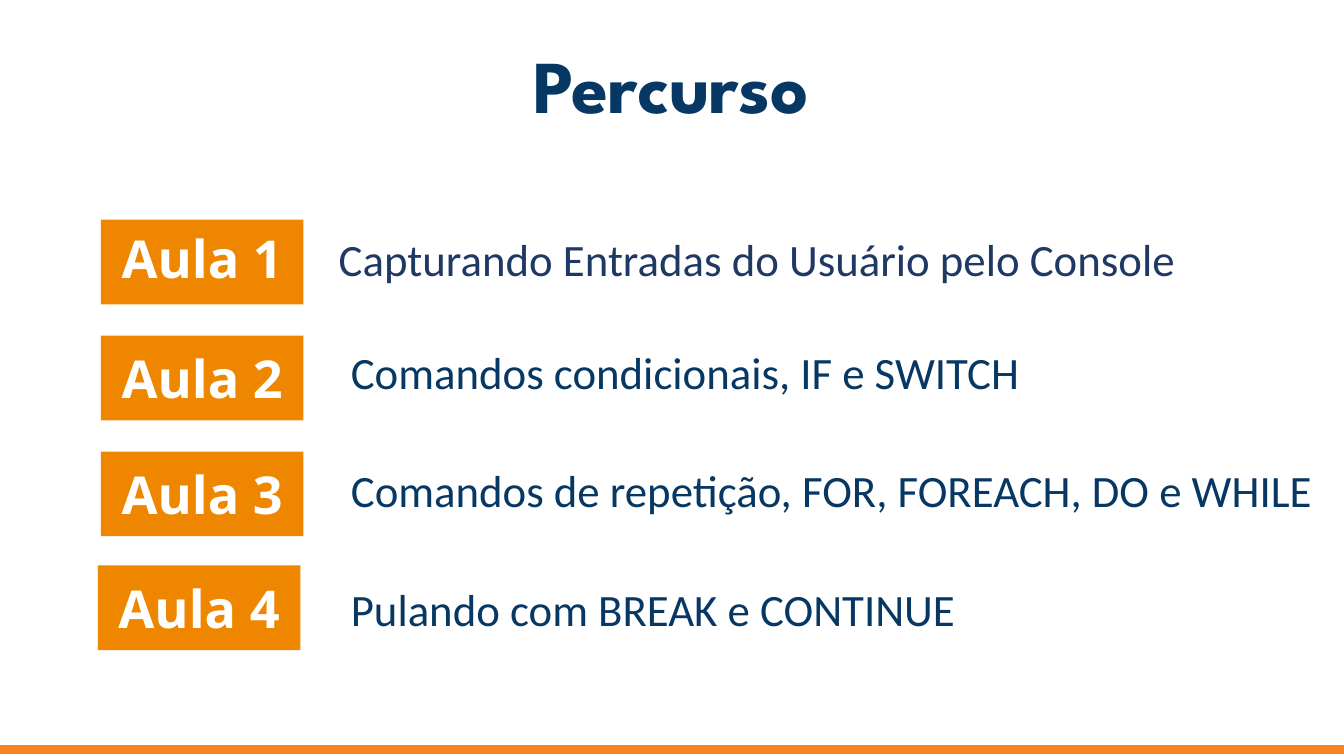
from collections import namedtuple

from pptx import Presentation
from pptx.dml.color import RGBColor
from pptx.enum.shapes import MSO_SHAPE
from pptx.enum.text import MSO_ANCHOR, PP_ALIGN
from pptx.util import Inches, Pt

NAVY = RGBColor(0x07, 0x37, 0x63)
INDIGO = RGBColor(0x20, 0x38, 0x64)
ORANGE = RGBColor(0xEF, 0x86, 0x00)
FOOTER_ORANGE = RGBColor(0xF7, 0x83, 0x21)
WHITE = RGBColor(0xFF, 0xFF, 0xFF)

Box = namedtuple("Box", "left top width height")
Lesson = namedtuple("Lesson", "topic badge_left badge_top topic_box color spacing")

BADGE_WIDTH, BADGE_HEIGHT = 2.01, 0.84
LESSONS = [
    Lesson("Capturando Entradas do Usuário pelo Console", 1, 2.18,
           Box(3.23, 2.23, 9.03, 0.67), INDIGO, 0.9),
    Lesson("Comandos condicionais, IF e SWITCH", 1, 3.33,
           Box(3.35, 3.35, 7.43, 0.67), NAVY, 1.0),
    Lesson("Comandos de repetição, FOR, FOREACH, DO e WHILE", 1, 4.48,
           Box(3.35, 4.52, 9.98, 0.67), NAVY, 1.0),
    Lesson("Pulando com BREAK e CONTINUE", 0.97, 5.61,
           Box(3.35, 5.7, 8.38, 0.67), NAVY, 1.0),
]


def in_inches(box):
    """Return the four sides of a box as lengths."""
    return [Inches(side) for side in box]


def write_text(shape, text, font, size, color, bold=False,
               align=PP_ALIGN.LEFT, anchor=MSO_ANCHOR.MIDDLE, inset=0.13):
    """Fill a shape with one formatted paragraph and return it."""
    frame = shape.text_frame
    frame.text = text
    frame.word_wrap = True
    frame.vertical_anchor = anchor
    frame.margin_left = frame.margin_right = Inches(0.13)
    frame.margin_top = frame.margin_bottom = Inches(inset)
    para = frame.paragraphs[0]
    para.alignment = align
    para.font.name, para.font.size, para.font.bold = font, Pt(size), bold
    para.font.color.rgb = color
    return para


def add_bar(page, box, color):
    """Draw a plain filled rectangle in the box."""
    bar = page.shapes.add_shape(MSO_SHAPE.RECTANGLE, *in_inches(box))
    bar.shadow.inherit = False
    bar.fill.solid()
    bar.fill.fore_color.rgb = color
    bar.line.fill.background()
    return bar


def add_heading(page, box):
    """Place the title placeholder in the box."""
    title = page.shapes.title
    title.left, title.top, title.width, title.height = in_inches(box)
    write_text(title, "Percurso", "League Spartan", 53.3, NAVY,
               bold=True, align=PP_ALIGN.CENTER)


def add_badge(page, box, label, spacing):
    """Draw the orange lesson badge in the box."""
    para = write_text(add_bar(page, box, ORANGE), label, "Open Sans", 37.3,
                      WHITE, bold=True, align=PP_ALIGN.CENTER)
    para.line_spacing = spacing


def add_topic(page, box, topic, color):
    """Write the lesson topic in the box."""
    write_text(page.shapes.add_textbox(*in_inches(box)), topic, "Calibri", 32,
               color, anchor=MSO_ANCHOR.TOP, inset=0.07)


def add_footer(page, box):
    """Draw the outlined strip along the bottom edge."""
    strip = add_bar(page, box, FOOTER_ORANGE)
    strip.line.color.rgb = FOOTER_ORANGE
    strip.line.width = Pt(0.75)


def build_route_slide(deck):
    """Build the slide that lists the lessons."""
    page = deck.slides.add_slide(deck.slide_layouts.get_by_name("Title Only"))
    add_heading(page, Box(0.45, 0.4, 12.42, 0.86))
    add_footer(page, Box(0, 7.4, 13.33, 0.08))
    for number, lesson in enumerate(LESSONS, start=1):
        badge_box = Box(lesson.badge_left, lesson.badge_top, BADGE_WIDTH, BADGE_HEIGHT)
        add_badge(page, badge_box, f"Aula {number}", lesson.spacing)
        add_topic(page, lesson.topic_box, lesson.topic, lesson.color)


deck = Presentation()
deck.slide_width, deck.slide_height = Inches(13.33), Inches(7.5)
build_route_slide(deck)
deck.save("out.pptx")
